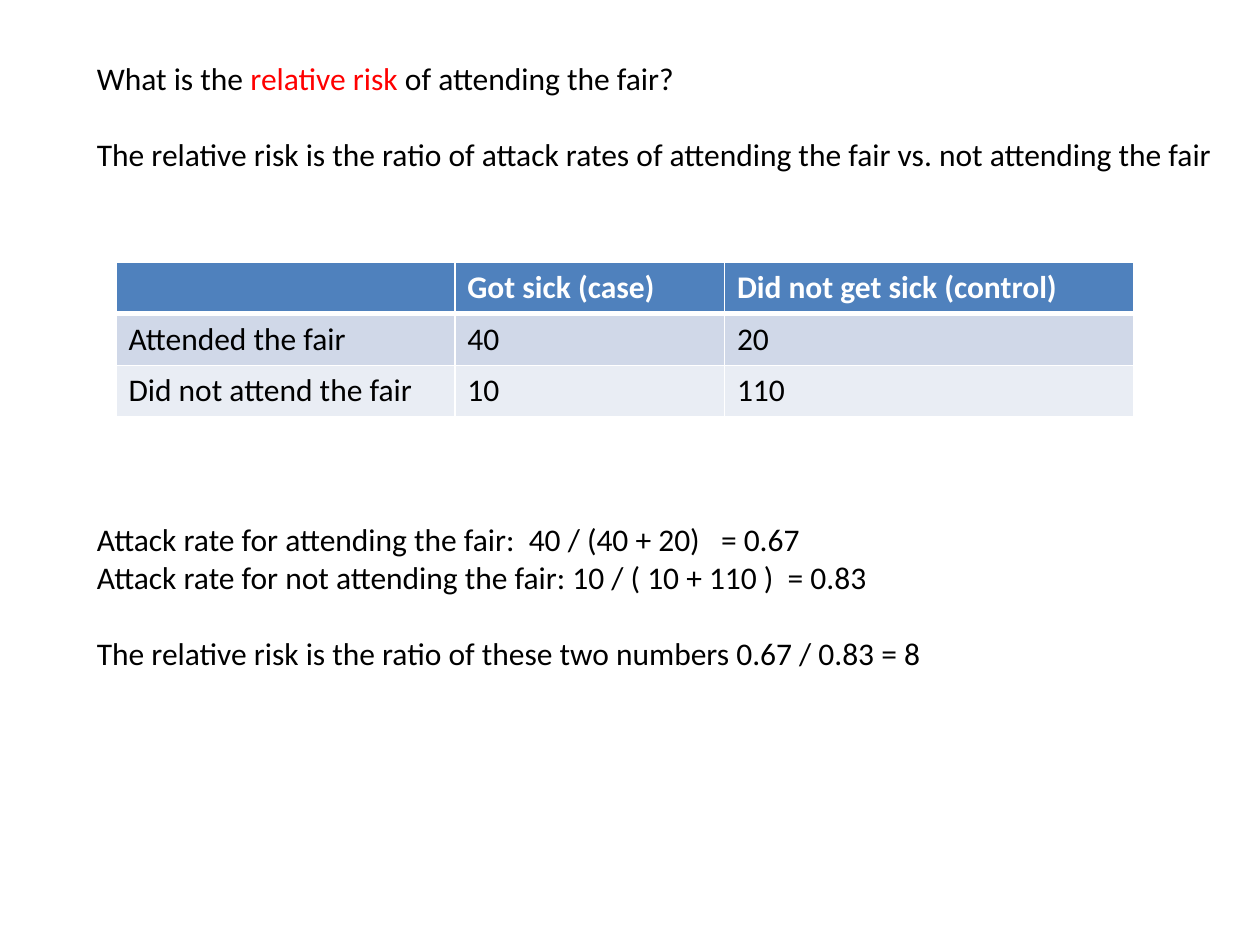
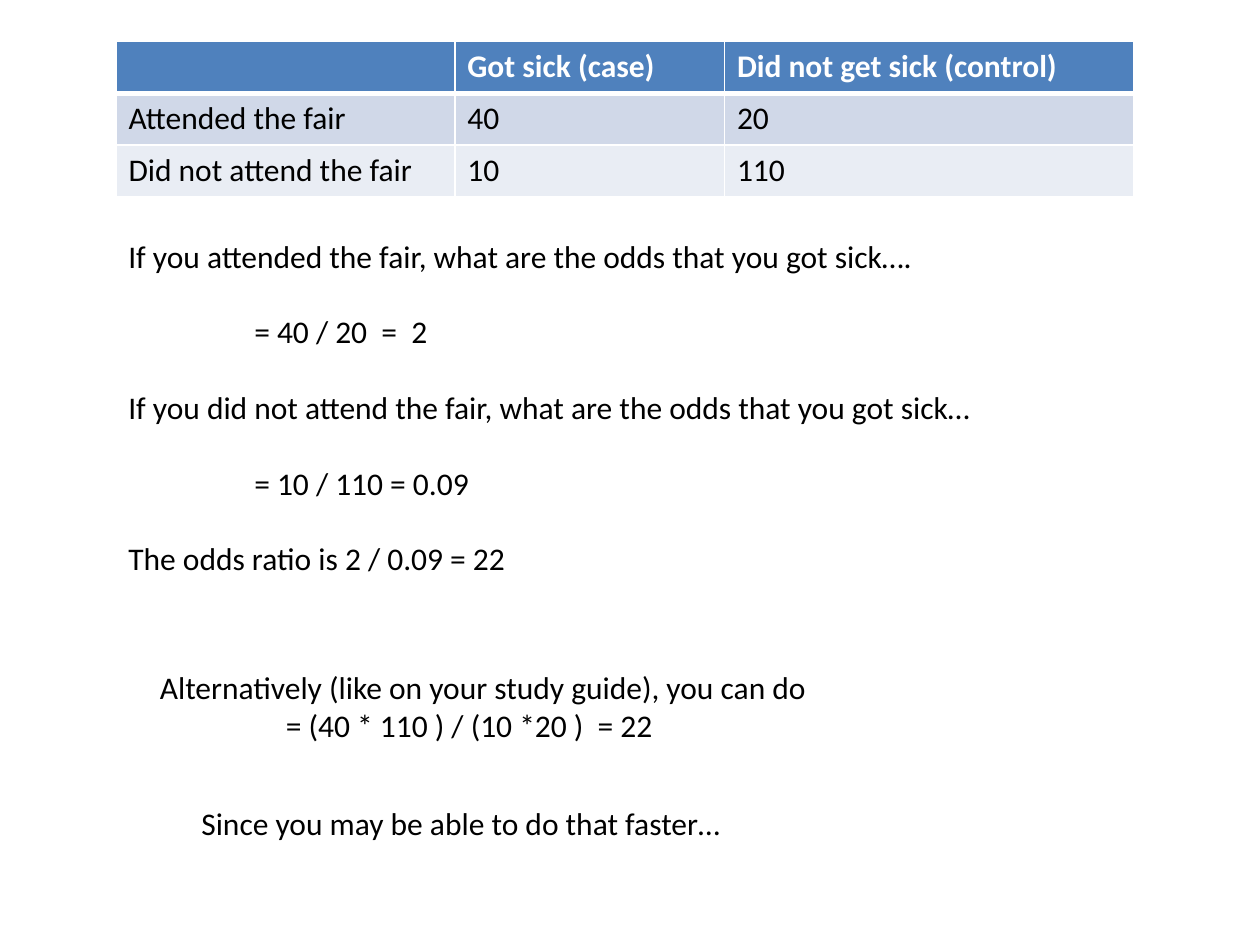
"""Build two slides on relative risk and odds ratio for a fair outbreak."""
from lxml.etree import SubElement as Sub
from pptx import Presentation
from pptx.dml.color import RGBColor as Rgb
from pptx.oxml.ns import qn
from pptx.util import Inches, Pt

HUES = {"ink": "000000", "key": "FF0000", "head": "4F81BD",
        "odd": "D0D8E8", "even": "E9EDF4", "line": "FFFFFF"}
COLS = (2.69, 2.14, 3.25)
ROW = 0.41
CASES = (("", "Got sick (case)", "Did not get sick (control)"),
         ("Attended the fair", "40", "20"),
         ("Did not attend the fair", "10", "110"))


def write(para, text, hue="ink", size=18, bold=False, gap=0, indent=0):
    """Add one run of text to a paragraph and format both."""
    run = para.add_run()
    run.text = text
    font = run.font
    font.name, font.size, font.bold = "Calibri", Pt(size), bold
    font.color.rgb = Rgb.from_string(HUES[hue])
    if gap:
        para.space_before = Pt(gap)
    if indent:
        para._p.get_or_add_pPr().set("marL", str(Inches(indent)))


class Deck:
    """Hold the deck's style and its current slide."""

    gap = 21.6
    tab = 1

    def __init__(self):
        """Start an empty deck of 10 by 7.5 inches."""
        self.file = Presentation()
        self.file.slide_width, self.file.slide_height = Inches(10), Inches(7.5)

    def page(self):
        """Add a blank slide and make it current."""
        self.slide = self.file.slides.add_slide(self.file.slide_layouts[6])

    def note(self, left, top, width, height, *lines):
        """Add a text box; a line is a list of runs and its options."""
        box = self.slide.shapes.add_textbox(
            Inches(left), Inches(top), Inches(width), Inches(height))
        frame = box.text_frame
        frame.word_wrap = False
        for num, (runs, opts) in enumerate(lines):
            para = frame.add_paragraph() if num else frame.paragraphs[0]
            for text, hue in runs:
                write(para, text, hue, **opts)

    def line(self, text, apart=False, inset=False):
        """Describe a plain line, set apart or indented if asked."""
        return [(text, "ink")], {"gap": self.gap * apart,
                                 "indent": self.tab * inset}

    def edge(self, cell, side, width):
        """Draw one border of a table cell."""
        line = Sub(cell._tc.get_or_add_tcPr(), qn("a:ln" + side),
                   w=str(Pt(width)))
        fill = Sub(line, qn("a:solidFill"))
        Sub(fill, qn("a:srgbClr"), val=HUES["line"])

    def table(self, top):
        """Add the table of cases and controls."""
        size = Inches(sum(COLS)), Inches(ROW * len(CASES))
        grid = self.slide.shapes.add_table(
            len(CASES), len(COLS), Inches(0.92), Inches(top), *size).table
        for col, width in zip(grid.columns, COLS):
            col.width = Inches(width)
        for r, row in enumerate(CASES):
            grid.rows[r].height = Inches(ROW)
            for c, text in enumerate(row):
                cell = grid.cell(r, c)
                for side in "LRTB":
                    thick = (r, side) in ((0, "B"), (1, "T"))
                    self.edge(cell, side, 3 if thick else 1)
                cell.fill.solid()
                hue = HUES[("head", "odd", "even")[r]]
                cell.fill.fore_color.rgb = Rgb.from_string(hue)
                write(cell.text_frame.paragraphs[0], text,
                      "ink" if r else "line", bold=r == 0)


def risk(deck):
    """Build the slide on relative risk."""
    deck.page()
    ask = [("What is the ", "ink"), ("relative risk ", "key"),
           ("of attending the fair?", "ink")]
    deck.note(0.67, 0.42, 9.09, 1.01, (ask, {}), deck.line(
        "The relative risk is the ratio of attack rates of attending "
        "the fair vs. not attending the fair", apart=True))
    deck.table(2.08)
    deck.note(
        0.67, 4.08, 6.82, 1.31,
        deck.line("Attack rate for attending the fair:  "
                  "40 / (40 + 20)   = 0.67"),
        deck.line("Attack rate for not attending the fair: "
                  "10 / ( 10 + 110 )  = 0.83"),
        deck.line("The relative risk is the ratio of these two numbers "
                  "0.67 / 0.83 = 8", apart=True))


def odds(deck):
    """Build the slide on the odds ratio."""
    deck.page()
    deck.table(0.33)
    deck.note(
        0.92, 1.83, 6.97, 2.83,
        deck.line("If you attended the fair, what are the odds "
                  "that you got sick…."),
        deck.line("= 40 / 20  =  2", apart=True, inset=True),
        deck.line("If you did not attend the fair, what are the odds "
                  "that you got sick…", apart=True),
        deck.line("= 10 / 110 = 0.09", apart=True, inset=True),
        deck.line("The odds ratio is 2 / 0.09 = 22", apart=True))
    deck.note(
        1.17, 5.25, 5.45, 0.71,
        deck.line("Alternatively (like on your study guide), you can do"),
        deck.line("= (40 * 110 ) / (10 *20 )  = 22", inset=True))
    deck.note(1.5, 6.33, 4.36, 0.4,
              deck.line("Since you may be able to do that faster…"))


deck = Deck()
risk(deck)
odds(deck)
deck.file.save("out.pptx")
